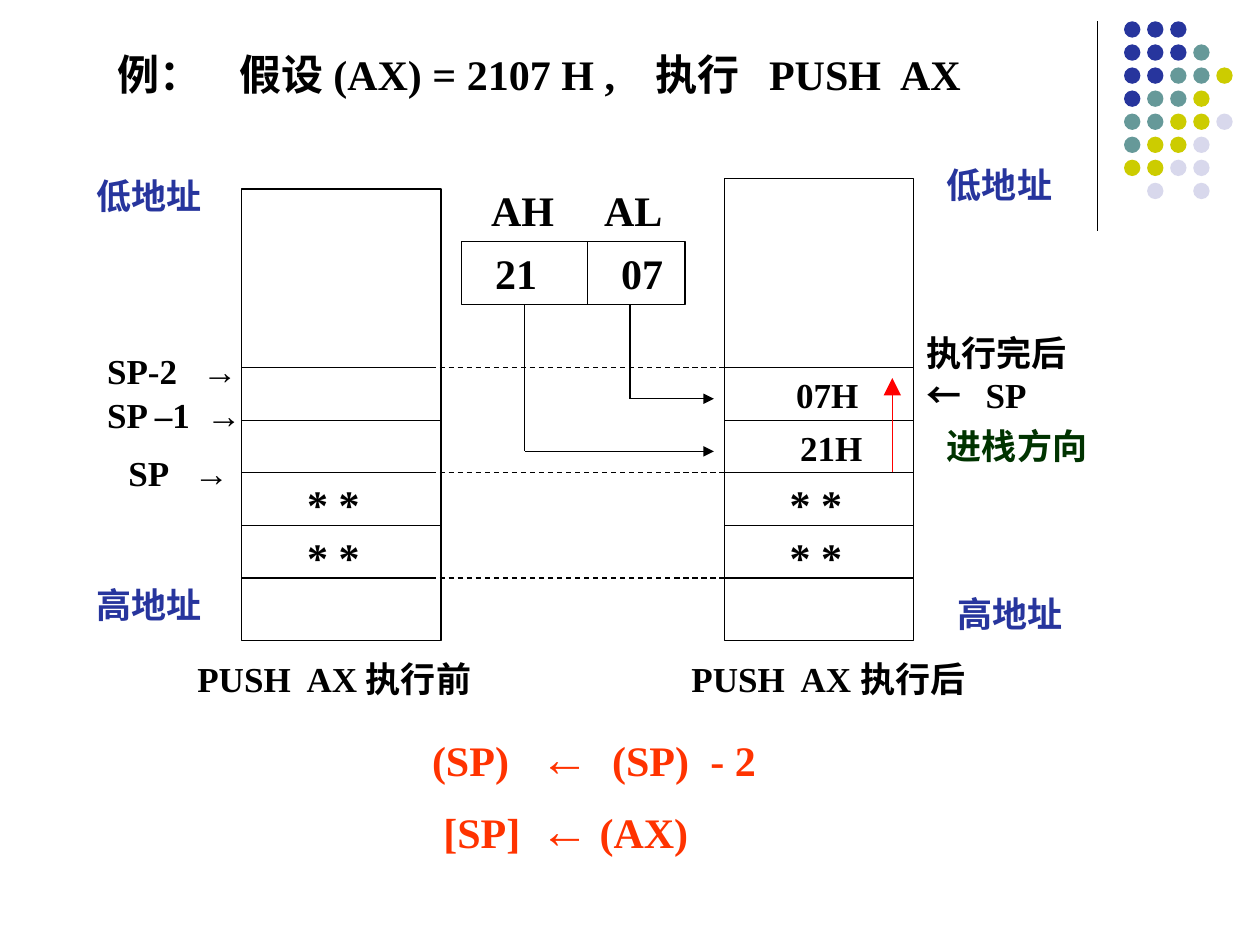
import pptx
import pptx.dml.color
import pptx.enum.dml
import pptx.enum.shapes
import pptx.enum.text
import pptx.oxml.ns
import pptx.util
from lxml import etree

Cm = pptx.util.Cm
BLACK, BLUE, TEAL, OLIVE, PALE = "000000", "27359D", "669999", "CCCC00", "D8D8EC"
RED, ORANGE, GREEN = "FF0000", "FF3300", "003300"


def rgb(value):
    return pptx.dml.color.RGBColor.from_string(value)


def add_element(parent, tag, **attributes):
    return etree.SubElement(parent, pptx.oxml.ns.qn(tag), **attributes)


class Canvas:
    font = "Times New Roman"
    arrow_font = "Arial"
    line_width = pptx.util.Pt(0.75)

    def __init__(self, presentation):
        self.slide = presentation.slides.add_slide(presentation.slide_layouts[5])

    def fill_text(self, text_frame, lines, size, color, tabs, arrow_size=None):
        text_frame.word_wrap = True
        text_frame.auto_size = pptx.enum.text.MSO_AUTO_SIZE.NONE
        text_frame.text = "\n".join(lines)
        for index, paragraph in enumerate(text_frame.paragraphs):
            paragraph.alignment = pptx.enum.text.PP_ALIGN.LEFT
            if index:
                paragraph.space_before = pptx.util.Pt(7.5)
            if tabs:
                tab_list = add_element(paragraph._p.get_or_add_pPr(), "a:tabLst")
                for position in tabs:
                    add_element(tab_list, "a:tab", pos=str(Cm(position)), algn="l")
            if arrow_size:
                arrow = "→" if "→" in lines[index] else "←"
                before, _, after = lines[index].partition(arrow)
                paragraph.text = before
                for part in filter(None, (arrow, after)):
                    paragraph.add_run().text = part
            for run in paragraph.runs:
                is_arrow = arrow_size and run.text in ("←", "→")
                run.font.name = self.arrow_font if is_arrow else self.font
                run.font.size = pptx.util.Pt(arrow_size if is_arrow else size)
                run.font.bold = True
                run.font.color.rgb = rgb(color)

    def title(self, left, top, width, height, text, size, tabs):
        shape = self.slide.shapes.title
        shape.left, shape.top, shape.width, shape.height = map(Cm, (left, top, width, height))
        shape.text_frame.vertical_anchor = pptx.enum.text.MSO_ANCHOR.TOP
        self.fill_text(shape.text_frame, [text], size, BLACK, tabs)

    def text(self, left, top, width, height, lines, size=20, color=BLACK, tabs=(), arrow_size=None):
        shape = self.slide.shapes.add_textbox(*map(Cm, (left, top, width, height)))
        self.fill_text(shape.text_frame, lines, size, color, tabs, arrow_size)

    def box(self, left, top, width, height):
        kind = pptx.enum.shapes.MSO_SHAPE.RECTANGLE
        shape = self.slide.shapes.add_shape(kind, *map(Cm, (left, top, width, height)))
        shape.shadow.inherit = False
        shape.fill.background()
        shape.line.color.rgb = rgb(BLACK)
        shape.line.width = self.line_width
        return shape

    def dot(self, left, top, diameter, color):
        kind = pptx.enum.shapes.MSO_SHAPE.OVAL
        shape = self.slide.shapes.add_shape(kind, *map(Cm, (left, top, diameter, diameter)))
        shape.shadow.inherit = False
        shape.fill.solid()
        shape.fill.fore_color.rgb = rgb(color)
        shape.line.fill.background()

    def line(self, x1, y1, x2, y2, color=BLACK, dashed=False, head=None):
        kind = pptx.enum.shapes.MSO_CONNECTOR.STRAIGHT
        connector = self.slide.shapes.add_connector(kind, *map(Cm, (x1, y1, x2, y2)))
        connector.line.color.rgb = rgb(color)
        connector.line.width = self.line_width
        if dashed:
            connector.line.dash_style = pptx.enum.dml.MSO_LINE.DASH
        properties = connector._element.spPr
        if head:
            add_element(properties.get_or_add_ln(), "a:tailEnd", type="triangle", w=head, len=head)
        add_element(properties, "a:effectLst")


def draw_decoration(canvas):
    canvas.line(22.12, 0.43, 22.12, 4.65)
    colors = {"B": BLUE, "T": TEAL, "O": OLIVE, "P": PALE}
    pattern = ["BBB", "BBBT", "BBTTO", "BTTO", "TTOOP", "TOOP", "OOPP", " P P"]
    pitch = 1.86 / 4
    for row, codes in enumerate(pattern):
        for column, code in enumerate(codes):
            if code in colors:
                canvas.dot(22.66 + column * pitch, 0.43 + row * pitch, 0.33, colors[code])


def draw_stacks(canvas):
    left, left_end, dash_start = 4.87, 8.89, 8.68
    right, right_end = 14.61, 18.42
    canvas.box(left, 3.81, left_end - left, 9.1)
    canvas.box(right, 3.6, right_end - right, 9.31)
    for row in range(5):
        y = 7.41 + 1.06 * row
        dashed = row % 2 == 0
        canvas.line(left, y, dash_start if dashed else left_end, y)
        canvas.line(right, y, right_end, y)
        if dashed:
            canvas.line(dash_start, y, right, y, dashed=True)
    for x in (5.94, 15.67):
        for y in (9.52, 10.58):
            canvas.text(x, y, 1.8, 1.27, ["* *"], 24)
    canvas.text(15.8, 7.41, 2.1, 1.12, ["07H"])
    canvas.text(15.88, 8.47, 2.1, 1.12, ["21H"])
    canvas.line(17.99, 9.52, 17.99, 7.62, RED, head="lg")
    for x, caption in ((3.73, "PUSH\tAX 执行前"), (13.69, "PUSH\tAX 执行后")):
        canvas.text(x, 13.13, 6.6, 1.12, [caption], tabs=[2.2])


def draw_labels(canvas):
    for x, y, label in ((1.7, 3.39, "低地址"), (1.7, 11.64, "高地址"),
                        (18.84, 3.18, "低地址"), (19.05, 11.82, "高地址")):
        canvas.text(x, y, 4.87, 1.12, [label], color=BLUE)
    for x, y, label, tab in ((1.91, 6.93, "SP-2\t→", 1.92), (1.91, 7.8, "SP –1\t→", 2),
                             (2.34, 8.97, "SP\t→", 1.32)):
        canvas.text(x, y, 3.81, 1.12, [label], tabs=[tab], arrow_size=20)
    canvas.text(18.42, 6.56, 3.39, 1.96, ["执行完后←\tSP"], tabs=[1.2])
    canvas.text(18.84, 8.44, 4.87, 1.12, ["进栈方向"], color=GREEN)


def draw_register(canvas):
    top, bottom = 4.87, 6.14
    register = canvas.box(9.31, top, 4.5, bottom - top)
    register.text_frame.margin_left = Cm(0.67)
    register.text_frame.vertical_anchor = pptx.enum.text.MSO_ANCHOR.MIDDLE
    canvas.fill_text(register.text_frame, ["21\t07"], 24, BLACK, [2.54])
    canvas.line(11.84, top, 11.84, bottom)
    canvas.text(9.65, 3.6, 4.55, 1.27, ["AH\tAL"], 24, tabs=[2.28])
    for x, y in ((10.58, 9.1), (12.7, 8.04)):
        canvas.line(x, bottom, x, y)
        canvas.line(x, y, 14.39, y, head="med")


def main():
    presentation = pptx.Presentation()
    presentation.slide_width, presentation.slide_height = Cm(25.4), Cm(19.05)
    canvas = Canvas(presentation)
    draw_decoration(canvas)
    canvas.title(2.12, 0.85, 19.8, 1.4, "例：\t假设 (AX) = 2107 H ,\t执行\tPUSH\tAX",
                 24, [2.46, 10.85, 13.13, 15.77])
    draw_stacks(canvas)
    draw_labels(canvas)
    draw_register(canvas)
    canvas.text(8.46, 14.55, 7.84, 2.9, ["(SP)\t←\t(SP)\t- 2", "\t[SP]\t← (AX)"], 24, ORANGE,
                [0.23, 2.18, 3.63, 5.61], arrow_size=28)
    presentation.save("out.pptx")


if __name__ == "__main__":
    main()
